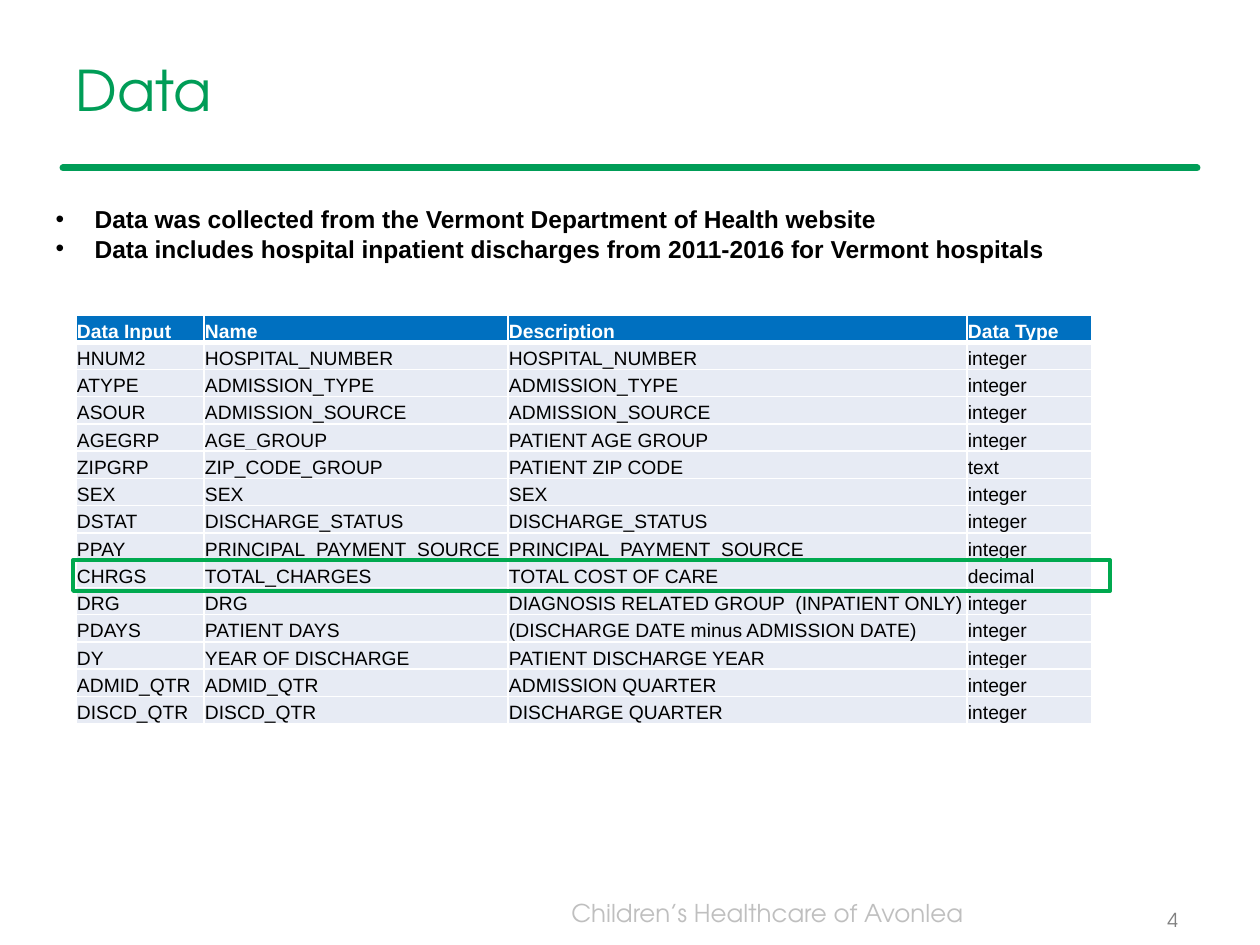
from lxml.etree import SubElement
from pptx import Presentation
from pptx.dml.color import RGBColor as RGB
from pptx.enum.shapes import MSO_CONNECTOR as LINK, MSO_SHAPE as SHAPE
from pptx.enum.text import MSO_ANCHOR as ANCHOR, MSO_AUTO_SIZE as FIT, PP_ALIGN as ALIGN
from pptx.oxml import parse_xml
from pptx.oxml.ns import nsdecls, qn
from pptx.util import Inches, Pt

SCALE = Inches(1) / 126
GREEN = RGB(0x00, 0x9D, 0x57)
LIME = RGB(0x00, 0xA9, 0x4F)
BLUE = RGB(0x00, 0x70, 0xC0)
PALE = RGB(0xE7, 0xEB, 0xF4)
SILVER = RGB(0xBF, 0xBF, 0xBF)
GREY = RGB(0x80, 0x80, 0x80)
WHITE = RGB(0xFF, 0xFF, 0xFF)
BLACK = RGB(0x00, 0x00, 0x00)
ROUND = "TeX Gyre Adventor"

POINTS = [
    "Data was collected from the Vermont Department of Health website",
    "Data includes hospital inpatient discharges from 2011-2016 for Vermont hospitals",
]
COLS = [128, 304, 459, 125]
ROWS = [
    ("Data Input", "Name", "Description", "Data Type"),
    ("HNUM2", "HOSPITAL_NUMBER", "HOSPITAL_NUMBER", "integer"),
    ("ATYPE", "ADMISSION_TYPE", "ADMISSION_TYPE", "integer"),
    ("ASOUR", "ADMISSION_SOURCE", "ADMISSION_SOURCE", "integer"),
    ("AGEGRP", "AGE_GROUP", "PATIENT AGE GROUP", "integer"),
    ("ZIPGRP", "ZIP_CODE_GROUP", "PATIENT ZIP CODE", "text"),
    ("SEX", "SEX", "SEX", "integer"),
    ("DSTAT", "DISCHARGE_STATUS", "DISCHARGE_STATUS", "integer"),
    ("PPAY", "PRINCIPAL_PAYMENT_SOURCE", "PRINCIPAL_PAYMENT_SOURCE", "integer"),
    ("CHRGS", "TOTAL_CHARGES", "TOTAL COST OF CARE", "decimal"),
    ("DRG", "DRG", "DIAGNOSIS RELATED GROUP  (INPATIENT ONLY)", "integer"),
    ("PDAYS", "PATIENT DAYS", "(DISCHARGE DATE minus ADMISSION DATE)", "integer"),
    ("DY", "YEAR OF DISCHARGE", "PATIENT DISCHARGE YEAR", "integer"),
    ("ADMID_QTR", "ADMID_QTR", "ADMISSION QUARTER", "integer"),
    ("DISCD_QTR", "DISCD_QTR", "DISCHARGE QUARTER", "integer"),
]


def px(size):
    """Turn pixels into EMU."""
    return round(size * SCALE)


def write(para, text, size=11, font="Arial", color=BLACK, bold=False, align=ALIGN.LEFT):
    """Add one formatted run to a paragraph."""
    para.alignment = align
    run = para.add_run()
    run.text = text
    run.font.size = Pt(size)
    run.font.name = font
    run.font.bold = bold
    run.font.color.rgb = color


def place(shape, x, y, wide, high):
    """Move and size a placeholder."""
    shape.left, shape.top = px(x), px(y)
    shape.width, shape.height = px(wide), px(high)


def add_title(slide, text):
    """Fill the title placeholder."""
    title = slide.shapes.title
    place(title, 63, 21, 1134, 136)
    frame = title.text_frame
    frame.auto_size = FIT.NONE
    frame.vertical_anchor = ANCHOR.MIDDLE
    write(frame.paragraphs[0], text, size=32, font=ROUND, color=GREEN)


def add_list(slide, items):
    """Fill the body placeholder with bullets."""
    body = slide.placeholders[1]
    place(body, 43, 198, 1166, 72)
    frame = body.text_frame
    frame.auto_size = FIT.NONE
    for i, item in enumerate(items):
        para = frame.add_paragraph() if i else frame.paragraphs[0]
        para.space_before = Pt(0)
        write(para, item, size=14, bold=True)
        props = para._p.get_or_add_pPr()
        props.set("marL", str(px(39)))
        props.set("indent", str(-px(39)))
        SubElement(props, qn("a:buFont")).set("typeface", "Arial")
        SubElement(props, qn("a:buChar")).set("char", "•")


def add_text(slide, x, y, wide, high, text, **style):
    """Add a text box with one paragraph."""
    frame = slide.shapes.add_textbox(px(x), px(y), px(wide), px(high)).text_frame
    frame.word_wrap = True
    write(frame.paragraphs[0], text, **style)


def add_rule(slide, x, y, end):
    """Add the round-ended line below the title."""
    rule = slide.shapes.add_connector(LINK.STRAIGHT, px(x), px(y), px(end), px(y))
    rule.line.color.rgb = GREEN
    rule.line.width = Pt(4)
    rule.line._get_or_add_ln().set("cap", "rnd")
    SubElement(rule._element.spPr, qn("a:effectLst"))


def edge(cell, **widths):
    """Draw white cell borders, widths in points by side."""
    props = cell._tc.get_or_add_tcPr()
    for i, side in enumerate("LRTB"):
        props.insert(i, parse_xml(
            f'<a:ln{side} {nsdecls("a")} w="{Pt(widths.get(side, 1))}">'
            f'<a:solidFill><a:srgbClr val="{WHITE}"/></a:solidFill></a:ln{side}>'))


def add_grid(slide, x, y, high):
    """Add the table of data fields."""
    grid = slide.shapes.add_table(
        len(ROWS), len(COLS), px(x), px(y), px(sum(COLS)), px(high)).table
    for col, wide in zip(grid.columns, COLS):
        col.width = px(wide)
    for r, texts in enumerate(ROWS):
        head = r == 0
        grid.rows[r].height = px(high / len(ROWS))
        for c, text in enumerate(texts):
            cell = grid.cell(r, c)
            cell.margin_left = cell.margin_right = cell.margin_top = px(1)
            cell.margin_bottom = 0
            cell.vertical_anchor = ANCHOR.BOTTOM
            cell.fill.solid()
            cell.fill.fore_color.rgb = BLUE if head else PALE
            edge(cell, T=3 if r == 1 else 1, B=3 if head else 1)
            write(cell.text_frame.paragraphs[0], text,
                  color=WHITE if head else BLACK, bold=head)


def add_frame(slide, x, y, wide, high):
    """Add the outline around the key row."""
    box = slide.shapes.add_shape(SHAPE.RECTANGLE, px(x), px(y), px(wide), px(high))
    box.shadow.inherit = False
    box.fill.background()
    box.line.color.rgb = LIME
    box.line.width = Pt(2.25)


def main():
    """Build and save the slide."""
    deck = Presentation()
    deck.slide_width, deck.slide_height = px(1260), px(945)
    slide = deck.slides.add_slide(deck.slide_layouts[1])
    add_rule(slide, 63, 168, 1197)
    add_text(slide, 84, 892, 892, 43, "Children’s Healthcare of Avonlea",
             size=14, font=ROUND, color=SILVER, align=ALIGN.RIGHT)
    add_title(slide, "Data")
    add_text(slide, 1155, 902, 53, 50, "4", font=ROUND, color=GREY)
    add_list(slide, POINTS)
    add_grid(slide, 76, 315, 409)
    add_frame(slide, 73, 560, 1037, 31)
    deck.save("out.pptx")


if __name__ == "__main__":
    main()
